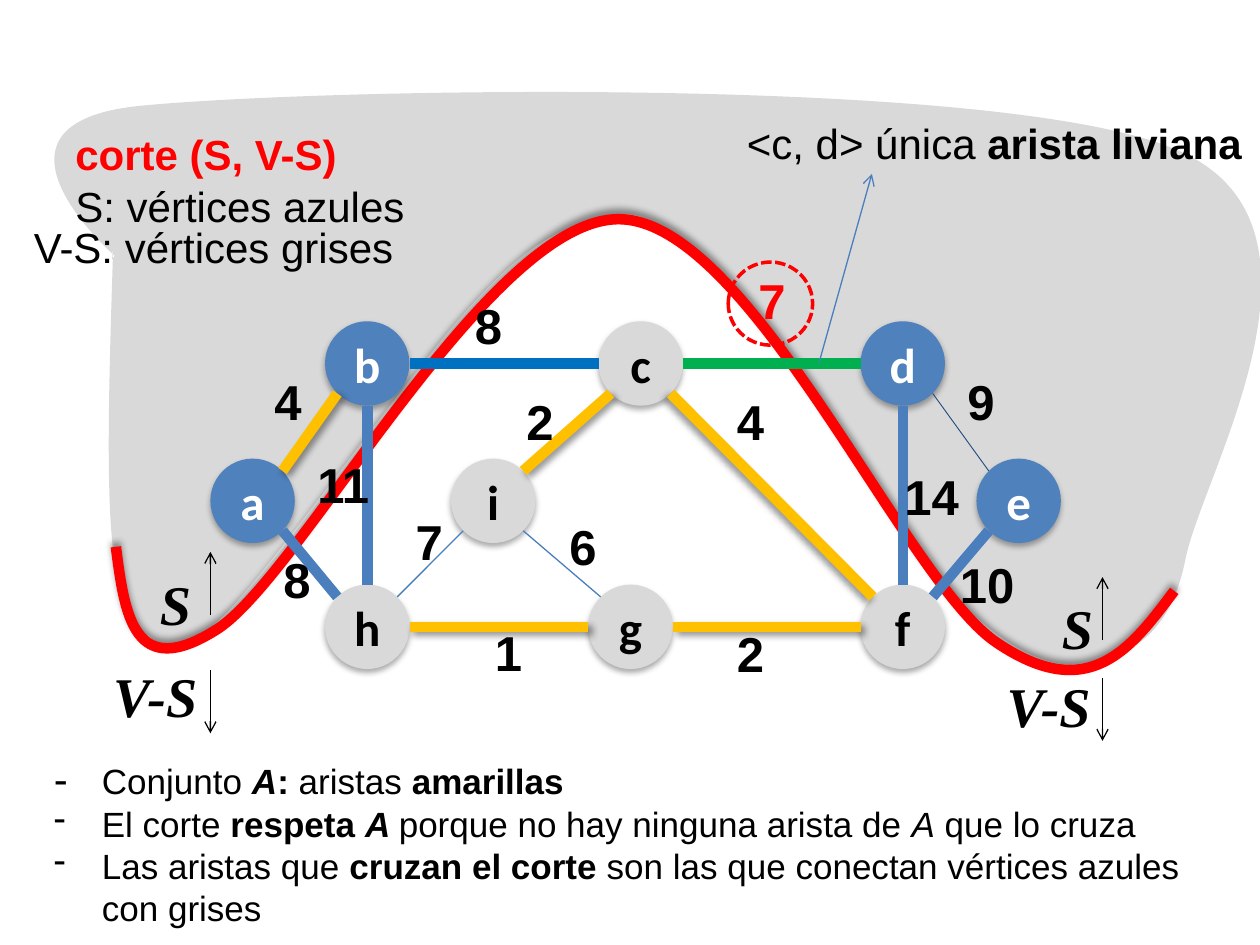
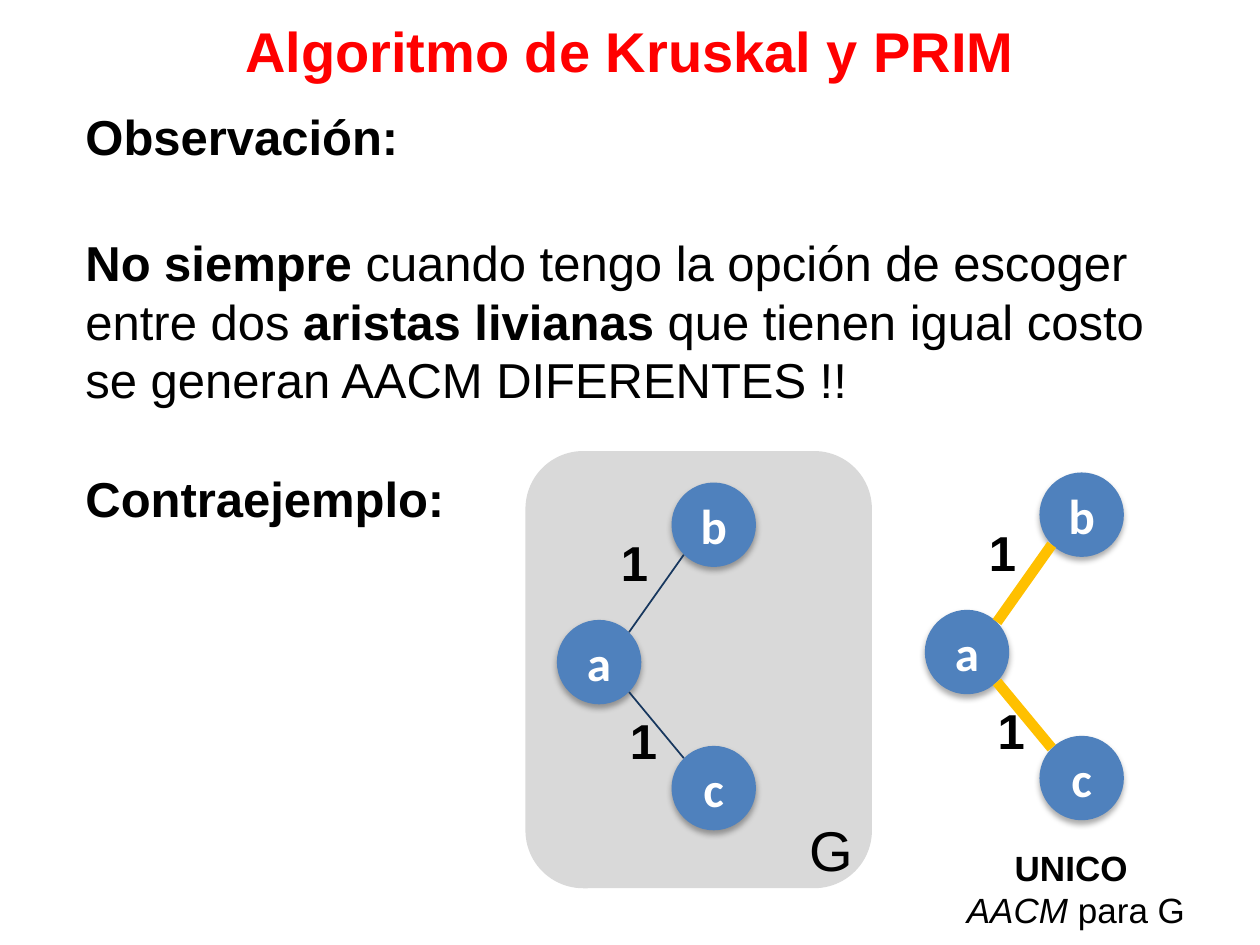
from lxml import etree
from pptx import Presentation
from pptx.dml.color import RGBColor
from pptx.enum.dml import MSO_LINE
from pptx.enum.shapes import MSO_CONNECTOR, MSO_SHAPE
from pptx.enum.text import MSO_ANCHOR, MSO_AUTO_SIZE, PP_ALIGN
from pptx.oxml.ns import qn
from pptx.util import Inches, Pt

STRAIGHT = MSO_CONNECTOR.STRAIGHT
OVAL = MSO_SHAPE.OVAL
RECTANGLE = MSO_SHAPE.RECTANGLE
ROUNDED = MSO_SHAPE.ROUNDED_RECTANGLE
DASHED = MSO_LINE.SQUARE_DOT
MIDDLE = MSO_ANCHOR.MIDDLE
GROW = MSO_AUTO_SIZE.SHAPE_TO_FIT_TEXT
CENTER = PP_ALIGN.CENTER

BLACK = RGBColor(0x00, 0x00, 0x00)
WHITE = RGBColor(0xFF, 0xFF, 0xFF)
RED = RGBColor(0xFF, 0x00, 0x00)
GREY = RGBColor(0xD9, 0xD9, 0xD9)
NODE_BLUE = RGBColor(0x4F, 0x81, 0xBD)
EDGE_BLUE = RGBColor(0x4B, 0x7E, 0xBC)
BRIGHT_BLUE = RGBColor(0x00, 0x70, 0xC0)
NAVY = RGBColor(0x1F, 0x49, 0x7D)
DARK_NAVY = RGBColor(0x17, 0x37, 0x5E)
GREEN = RGBColor(0x00, 0xB0, 0x50)
YELLOW = RGBColor(0xFF, 0xC0, 0x00)

BOLD = {"bold": True}
ITALIC = {"italic": True}
BOLD_ITALIC = {"bold": True, "italic": True}
BASE = {"name": "Arial", "size": Pt(24), "color": BLACK}
WEIGHT = BASE | BOLD | {"size": Pt(28)}
SIDE = BASE | BOLD_ITALIC | {"name": "Times New Roman", "size": Pt(32)}
TITLE = BASE | BOLD | {"size": Pt(32), "color": RED}
SMALL = BASE | {"size": Pt(20)}

NODE_SHADOW = (32, 3.5, 2.2, 90)
EDGE_SHADOW = (40, 4, 3, 45)
LONG_EDGE_SHADOW = (40, 4, 3, 135)
CUT_SHADOW = (40, 4, 3, 270)

NODE_SIZE = 0.67
DIRECTIONS = {
    "N": (0, -1), "S": (0, 1), "W": (-1, 0), "E": (1, 0),
    "NW": (-0.71, -0.71), "NE": (0.71, -0.71),
    "SW": (-0.71, 0.71), "SE": (0.71, 0.71),
}

REGION = [
    (0.9, 1.93), (0.87, 2.85), (0.84, 3.77), (0.89, 4.29),
    (0.93, 4.8), (1.01, 4.93), (1.16, 5.03),
    (1.31, 5.13), (1.35, 5.31), (1.79, 4.87),
    (2.22, 4.43), (3.28, 2.91), (3.77, 2.39),
    (4.26, 1.86), (4.47, 1.83), (4.74, 1.74),
    (5.01, 1.66), (5.13, 1.7), (5.39, 1.89),
    (5.64, 2.07), (5.94, 2.39), (6.29, 2.84),
    (6.63, 3.3), (7.1, 4.22), (7.47, 4.63),
    (7.85, 5.03), (8.22, 5.3), (8.54, 5.27),
    (8.87, 5.24), (9.28, 5.11), (9.41, 4.43),
    (9.55, 3.75), (10.73, 1.78), (9.34, 1.19),
    (7.96, 0.59), (2.52, 0.7), (1.11, 0.84),
    (-0.29, 0.98), (0.91, 2.03), (0.91, 2.03),
    (0.89, 2.06),
]
CUT = [
    (0.92, 4.34), (0.99, 4.88), (1.06, 5.42), (1.73, 4.99),
    (2.4, 4.55), (3.89, 1.72), (4.92, 1.74),
    (5.96, 1.76), (7.18, 4.61), (7.91, 5.1),
    (8.65, 5.6), (8.98, 5.14), (9.32, 4.69),
]

CUT_NODES = {
    "b": (2.58, 2.55, NODE_BLUE), "c": (4.75, 2.55, GREY),
    "d": (6.83, 2.55, NODE_BLUE), "a": (1.67, 3.64, NODE_BLUE),
    "i": (3.58, 3.64, GREY), "e": (7.75, 3.64, NODE_BLUE),
    "h": (2.58, 4.64, GREY), "g": (4.67, 4.64, GREY),
    "f": (6.83, 4.64, GREY),
}
CUT_EDGES = [
    ("b", "E", "c", "W", BRIGHT_BLUE, 6, None),
    ("c", "E", "d", "W", GREEN, 6, None),
    ("g", "E", "f", "W", YELLOW, 6, EDGE_SHADOW),
    ("h", "E", "g", "W", YELLOW, 6, EDGE_SHADOW),
    ("d", "S", "f", "N", EDGE_BLUE, 6, None),
    ("b", "S", "h", "N", EDGE_BLUE, 6, None),
    ("b", "SW", "a", "NE", YELLOW, 6, EDGE_SHADOW),
    ("d", "SE", "e", "NW", NAVY, 0.5, None),
    ("a", "SE", "h", "NW", EDGE_BLUE, 6, None),
    ("e", "SW", "f", "NE", EDGE_BLUE, 6, None),
    ("c", "SW", "i", "NE", YELLOW, 6, EDGE_SHADOW),
    ("i", "SW", "h", "NE", EDGE_BLUE, 0.75, None),
    ("i", "SE", "g", "NW", EDGE_BLUE, 0.75, None),
    ("c", "SE", "f", "NW", YELLOW, 6, LONG_EDGE_SHADOW),
]
CUT_WEIGHTS = [
    ("4", 2.08, 2.9), ("8", 3.67, 2.3), ("9", 7.58, 2.9),
    ("11", 2.42, 3.56), ("8", 2.15, 4.31), ("7", 3.2, 4.01),
    ("6", 4.42, 4.05), ("1", 3.83, 4.89), ("2", 4.08, 3.06),
    ("2", 5.75, 4.9), ("4", 5.75, 3.06), ("14", 7.08, 3.65),
    ("10", 7.52, 4.35),
]
CUT_NOTES = [
    [("-\t", {"size": Pt(24)}), ("Conjunto ", {}), ("A", BOLD_ITALIC),
     (": ", BOLD), ("aristas ", {}), ("amarillas", BOLD)],
    [("El corte ", {}), ("respeta ", BOLD), ("A ", BOLD_ITALIC),
     ("porque no hay ninguna arista de ", {}), ("A", ITALIC),
     (" que lo cruza", {})],
    [("Las aristas que ", {}), ("cruzan el corte ", BOLD),
     ("son las que conectan vértices azules con grises", {})],
]
OBSERVATION = [
    [("Observación:", BOLD)],
    [("No siempre ", BOLD),
     ("cuando tengo la opción de escoger entre dos ", {}),
     ("aristas livianas ", BOLD),
     ("que tienen igual costo se generan AACM DIFERENTES !!", {})],
    [("Contraejemplo:", BOLD)],
]


def set_effect(shape, shadow=None):
    """Give a shape exactly the shadow (alpha, blur, distance, angle), or none."""
    properties = shape._element.spPr
    for old in properties.findall(qn("a:effectLst")):
        properties.remove(old)
    effects = etree.SubElement(properties, qn("a:effectLst"))
    if shadow:
        alpha, blur, distance, angle = shadow
        outer = etree.SubElement(
            effects, qn("a:outerShdw"), blurRad=str(Pt(blur)), dist=str(Pt(distance)),
            dir=str(angle * 60000), rotWithShape="0")
        color = etree.SubElement(outer, qn("a:srgbClr"), val=str(BLACK))
        etree.SubElement(color, qn("a:alpha"), val=str(alpha * 1000))


def paint(shape, fill=None, line=None, width=1, shadow=None):
    """Set the fill, outline and shadow of a shape."""
    if fill is None:
        shape.fill.background()
    else:
        shape.fill.solid()
        shape.fill.fore_color.rgb = fill
    if line is None:
        shape.line.fill.background()
    else:
        shape.line.color.rgb = line
        shape.line.width = Pt(width)
    set_effect(shape, shadow)


def add_spans(para, spans, style):
    """Add formatted spans of text to a paragraph."""
    for text, changes in spans:
        span = para.add_run()
        span.text = text
        for key, value in (style | changes).items():
            if key == "color":
                span.font.color.rgb = value
            else:
                setattr(span.font, key, value)


def add_text(page, left, top, width, height, paragraphs, style, align=None):
    """Add a wrapping text box; a plain string is one paragraph."""
    box = page.shapes.add_textbox(*map(Inches, (left, top, width, height)))
    box.text_frame.word_wrap = True
    box.text_frame.auto_size = GROW
    if isinstance(paragraphs, str):
        paragraphs = [[(paragraphs, {})]]
    for index, spans in enumerate(paragraphs):
        para = box.text_frame.paragraphs[0] if index == 0 else box.text_frame.add_paragraph()
        para.alignment = align
        add_spans(para, spans, style)
    return box


def hang(para, indent, symbol=None):
    """Give a paragraph a hanging indent, and a bullet if asked."""
    properties = para._p.get_or_add_pPr()
    properties.set("marL", str(Inches(indent)))
    properties.set("indent", str(-Inches(indent)))
    if symbol:
        etree.SubElement(properties, qn("a:buChar"), char=symbol)


def add_line(page, start, end, color, width, shadow=None, arrow=False):
    """Add a straight line, with an open arrowhead at its end if asked."""
    line = page.shapes.add_connector(STRAIGHT, *map(Inches, (*start, *end)))
    line.line.color.rgb = color
    line.line.width = Pt(width)
    if arrow:
        etree.SubElement(line._element.spPr.find(qn("a:ln")), qn("a:tailEnd"), type="arrow")
    set_effect(line, shadow)


def add_curve(page, points, **look):
    """Add a freeform of cubic Bezier segments; a leftover point ends a line."""
    builder = page.shapes.build_freeform(*map(Inches, points[0]))
    builder.add_line_segments([tuple(map(Inches, point)) for point in points[1:]], close=False)
    shape = builder.convert_to_shape()
    outline = next(shape._element.iter(qn("a:path")))
    lines = outline.findall(qn("a:lnTo"))
    for first in range(0, len(lines) - 2, 3):
        curve = etree.Element(qn("a:cubicBezTo"))
        lines[first].addprevious(curve)
        for line in lines[first:first + 3]:
            curve.append(line[0])
            outline.remove(line)
    paint(shape, **look)


def add_node(page, name, left, top, fill):
    """Add a round graph vertex with its name."""
    node = page.shapes.add_shape(OVAL, *map(Inches, (left, top, NODE_SIZE, NODE_SIZE)))
    paint(node, fill, shadow=NODE_SHADOW)
    frame = node.text_frame
    frame.vertical_anchor = MIDDLE
    frame.word_wrap = False
    frame.paragraphs[0].alignment = CENTER
    ink = BLACK if fill == GREY else WHITE
    add_spans(frame.paragraphs[0], [(name, {})], WEIGHT | {"name": "Calibri", "color": ink})


def rim_point(node, direction):
    """Return the point on a vertex's rim in a compass direction."""
    return tuple(
        corner + NODE_SIZE / 2 * (1 + offset)
        for corner, offset in zip(node, DIRECTIONS[direction]))


def draw_graph(page, nodes, edges, weights):
    """Draw vertices, then edges, then edge weights."""
    for name, place in nodes.items():
        add_node(page, name, *place)
    for first, leave, second, arrive, color, width, shadow in edges:
        add_line(page, rim_point(nodes[first], leave), rim_point(nodes[second], arrive),
                 color, width, shadow)
    for text, left, top in weights:
        add_text(page, left, top, 0.67, 0.57, text, WEIGHT)


def draw_cut_sides(page):
    """Name the two sides of the cut at both of its ends."""
    backing = page.shapes.add_shape(RECTANGLE, *map(Inches, (1.42, 5.32, 0.58, 0.5)))
    paint(backing, WHITE)
    for text, left, top in (("S", 1.17, 4.47), ("S", 8.33, 4.66),
                            ("V-S", 7.89, 5.28), ("V-S", 0.8, 5.2)):
        add_text(page, left, top, 1.67, 0.64, text, SIDE)
    for x, start, end in ((1.67, 4.88, 4.38), (1.67, 5.32, 5.82),
                          (8.75, 5.08, 4.58), (8.75, 5.38, 5.88)):
        add_line(page, (x, start), (x, end), BLACK, 0.75, arrow=True)


def build_cut_slide(page):
    """Show a cut of the graph and its light edge."""
    add_curve(page, REGION, fill=GREY)
    add_curve(page, CUT, line=RED, width=6, shadow=CUT_SHADOW)
    draw_graph(page, CUT_NODES, CUT_EDGES, CUT_WEIGHTS)
    add_text(page, 5.92, 2.1, 0.5, 0.57, "7", WEIGHT | {"color": RED})
    draw_cut_sides(page)
    add_text(page, 0.5, 0.97, 2.75, 0.5, "corte (S, V-S) ", BASE | BOLD | {"color": RED})
    add_text(page, 0.5, 1.38, 3.42, 0.5, "S: vértices azules ", BASE)
    add_text(page, 0.17, 1.71, 3.42, 0.5, "V-S: vértices grises ", BASE)
    add_text(page, 5.83, 0.88, 4.17, 0.5,
             [[("<c, d> única ", {}), ("arista liviana", BOLD)]], BASE)
    notes = add_text(page, 0.33, 5.92, 9.42, 1.51, CUT_NOTES, SMALL)
    for para, symbol in zip(notes.text_frame.paragraphs, (None, "-", "-")):
        hang(para, 0.38, symbol)
    add_line(page, (6.5, 2.88), (6.92, 1.38), EDGE_BLUE, 0.75, arrow=True)
    ring = page.shapes.add_shape(OVAL, *map(Inches, (5.78, 2.08, 0.67, 0.66)))
    paint(ring, line=RED, width=2)
    ring.line.dash_style = DASHED


def draw_small_graph(page, left, top, color, width):
    """Draw the three-vertex graph with vertex a at the given place."""
    nodes = {
        "b": (left + 0.91, top - 1.09, NODE_BLUE),
        "a": (left, top, NODE_BLUE),
        "c": (left + 0.91, top + 1, NODE_BLUE),
    }
    edges = [("b", "SW", "a", "NE", color, width, None),
             ("a", "SE", "c", "NW", color, width, None)]
    weights = [("1", left + 0.41, top - 0.74), ("1", left + 0.48, top + 0.67)]
    draw_graph(page, nodes, edges, weights)


def build_counterexample_slide(page):
    """Show a graph whose only minimum spanning tree is unique."""
    panel = page.shapes.add_shape(ROUNDED, *map(Inches, (4.17, 3.58, 2.75, 3.47)))
    paint(panel, GREY)
    observation = add_text(page, 0.58, 0.8, 8.92, 3.53, OBSERVATION, BASE | {"size": Pt(28)})
    for para, gap in zip(observation.text_frame.paragraphs[1:], (38, 34)):
        para.space_before = Pt(gap)
    draw_small_graph(page, 4.42, 4.92, DARK_NAVY, 1)
    draw_small_graph(page, 7.34, 4.84, YELLOW, 6)
    add_text(page, 6.33, 6.42, 1, 0.64, "G", BASE | {"size": Pt(32)})
    add_text(page, 7.5, 6.67, 2.08, 0.77,
             [[("UNICO ", BOLD)], [("AACM", ITALIC), (" para G", {})]], SMALL, CENTER)
    add_text(page, 0.25, 0.08, 9.5, 0.75, "Algoritmo de Kruskal y PRIM", TITLE, CENTER)


def main():
    """Build the deck and save it."""
    deck = Presentation()
    deck.slide_width, deck.slide_height = Inches(10), Inches(7.5)
    for build in (build_cut_slide, build_counterexample_slide):
        build(deck.slides.add_slide(deck.slide_layouts[6]))
    deck.save("out.pptx")


if __name__ == "__main__":
    main()
